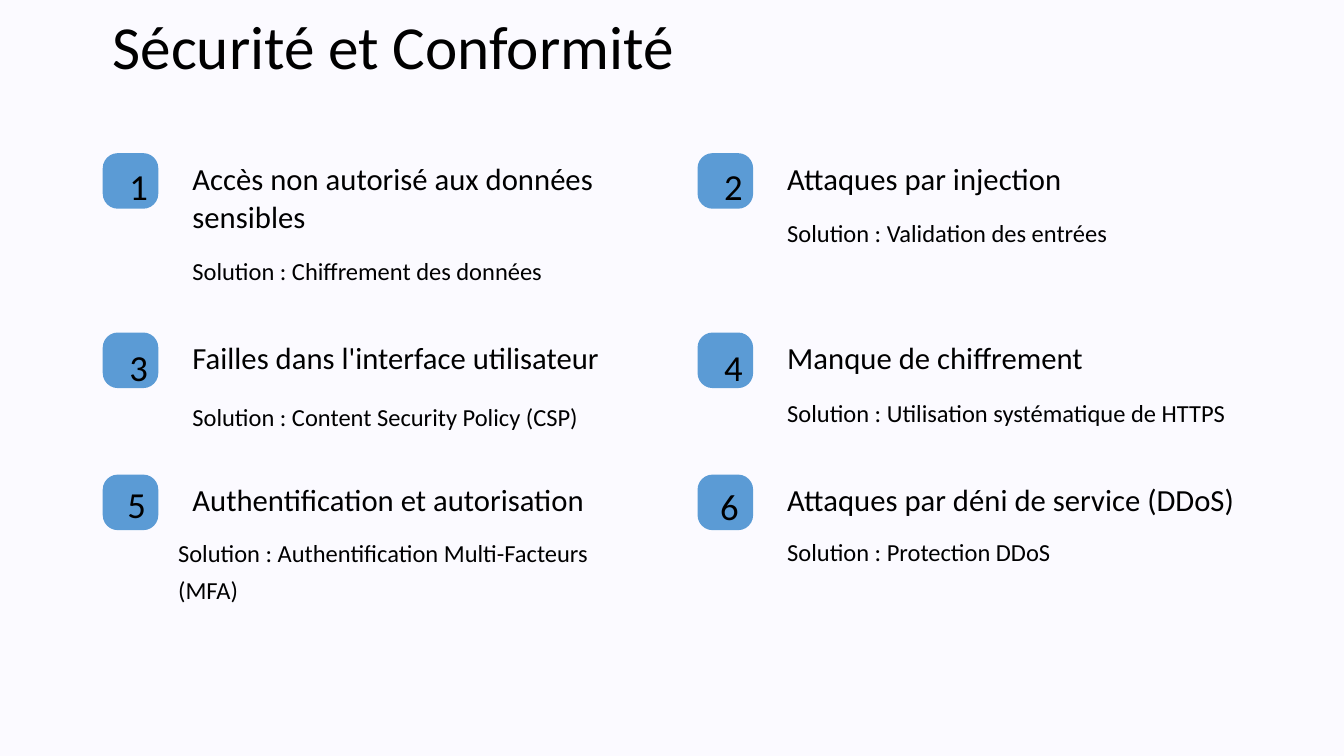
"""Build the security and compliance slide with six numbered risks."""
from dataclasses import dataclass

from pptx import Presentation
from pptx.dml.color import RGBColor
from pptx.enum.shapes import MSO_SHAPE
from pptx.enum.text import PP_ALIGN
from pptx.util import Cm, Pt

ROUND = MSO_SHAPE.ROUNDED_RECTANGLE
LEFT, MID = PP_ALIGN.LEFT, PP_ALIGN.CENTER
FONT = "Calibri"
INK, BLUE, PAPER = "000000", "5B9BD5", "FBFAFF"
COLS = (2.59, 17.58)
ROWS = (3.86, 8.38, 11.96)
TILE, DIGIT = 1.4, 0.56
INDENT, WIDE = 2.01, 12.34


@dataclass
class Style:
    """Size, line spacing and alignment of a text."""
    size: float
    line: float
    align: PP_ALIGN = LEFT
    wrap: bool = True


@dataclass
class Risk:
    """A risk, its solution and the fine placing of its parts."""
    head: str
    cure: str
    drop: float
    num_x: float
    num_y: float
    shift: float = 0


TITLE = Style(43.7, 54.7)
NUMBER = Style(26.2, 32.8, MID, False)
HEAD = Style(21.9, 27.3)
CURE = Style(17.5, 26.2)

RISKS = (
    Risk("Accès non autorisé aux données sensibles",
         "Solution : Chiffrement des données", 2.29, 0, 0.1),
    Risk("Attaques par injection",
         "Solution : Validation des entrées", 1.32, 0, 0.1),
    Risk("Failles dans l'interface utilisateur",
         "Solution : Content Security Policy (CSP)", 1.45, 0, 0.13),
    Risk("Manque de chiffrement",
         "Solution : Utilisation systématique de HTTPS", 1.35, 0, 0.13),
    Risk("Authentification et autorisation",
         "Solution : Authentification Multi-Facteurs (MFA)",
         1.3, -0.05, 0, -0.36),
    Risk("Attaques par déni de service (DDoS)",
         "Solution : Protection DDoS", 1.27, -0.1, 0.05),
)


def color(code: str) -> RGBColor:
    """Turn a hex string into a colour."""
    return RGBColor.from_string(code)


def write(slide, text: str, x: float, y: float, w: float, h: float,
          style: Style) -> None:
    """Add a one-paragraph text box."""
    frame = slide.shapes.add_textbox(Cm(x), Cm(y), Cm(w), Cm(h)).text_frame
    frame.word_wrap = style.wrap
    frame.text = text
    para = frame.paragraphs[0]
    para.alignment = style.align
    para.line_spacing = Pt(style.line)
    font = para.runs[0].font
    font.name, font.size = FONT, Pt(style.size)
    font.color.rgb = color(INK)


def draw(slide, num: int, risk: Risk, x: float, y: float) -> None:
    """Draw a numbered tile with its risk and solution."""
    tile = slide.shapes.add_shape(ROUND, Cm(x), Cm(y), Cm(TILE), Cm(TILE))
    tile.adjustments[0] = 0.27
    tile.shadow.inherit = False
    tile.fill.solid()
    tile.fill.fore_color.rgb = color(BLUE)
    tile.line.fill.background()
    left = x + (TILE - DIGIT) / 2 + risk.num_x
    write(slide, str(num), left, y + risk.num_y, DIGIT, 1.17, NUMBER)
    write(slide, risk.head, x + INDENT, y, WIDE, 1.93, HEAD)
    write(slide, risk.cure, x + INDENT + risk.shift, y + risk.drop,
          WIDE, 0.92, CURE)


def main() -> None:
    """Build and save the slide."""
    deck = Presentation()
    deck.slide_width, deck.slide_height = Cm(33.87), Cm(19.05)
    slide = deck.slides.add_slide(deck.slide_layouts[6])
    fill = slide.background.fill
    fill.solid()
    fill.fore_color.rgb = color(PAPER)
    write(slide, "Sécurité et Conformité", COLS[0], 0, 18.14, 1.93, TITLE)
    for i, risk in enumerate(RISKS):
        row, col = divmod(i, len(COLS))
        draw(slide, i + 1, risk, COLS[col], ROWS[row])
    deck.save("out.pptx")


if __name__ == "__main__":
    main()
